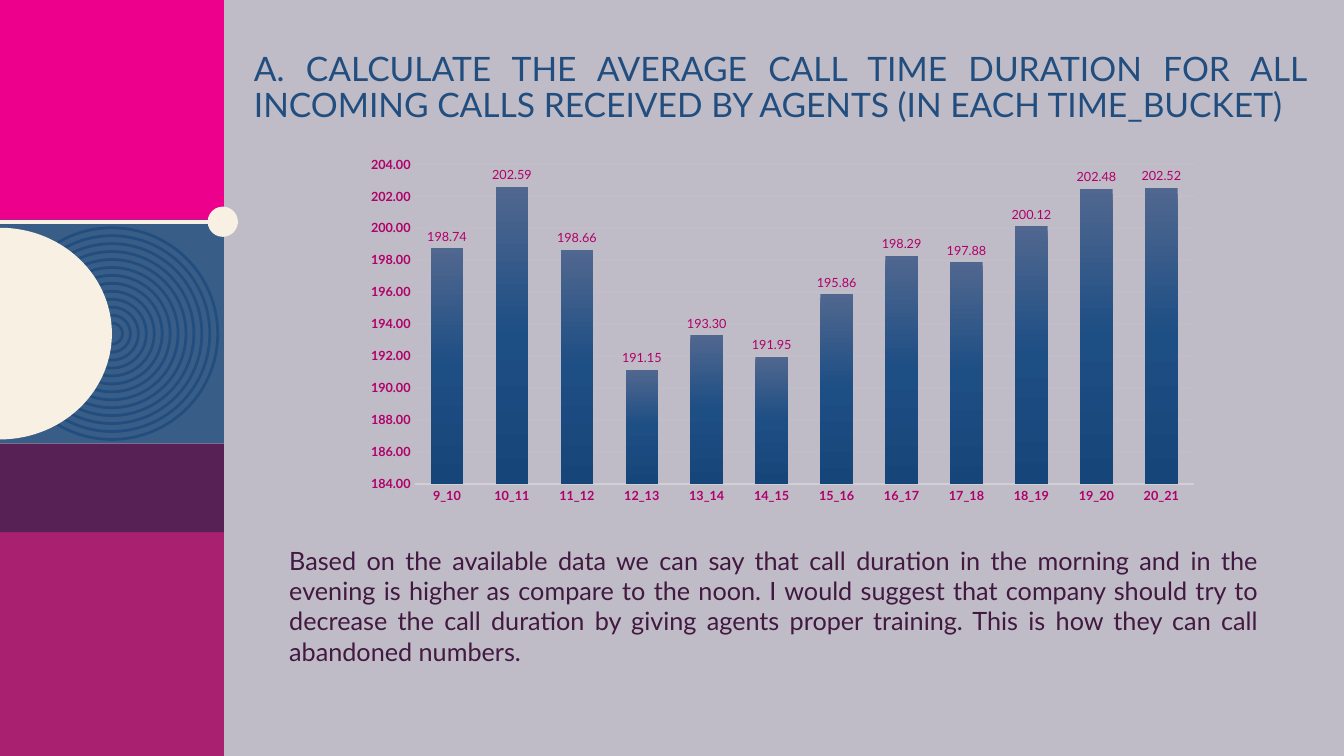
import math
from dataclasses import dataclass

import pptx
import pptx.chart.data
import pptx.dml.color
import pptx.enum.chart
import pptx.enum.shapes
import pptx.enum.text
import pptx.oxml
import pptx.oxml.ns
import pptx.util
from pptx.util import Inches

SHAPE = pptx.enum.shapes.MSO_SHAPE


@dataclass(frozen=True)
class Theme:
    font: str = "Lato"
    back: str = "BFBBC7"
    pink: str = "EC008C"
    rose: str = "AA2070"
    blue: str = "385E88"
    navy: str = "224E7F"
    plum: str = "582156"
    cream: str = "F8F0E3"
    ink: str = "421940"
    label: str = "B10069"
    pale: str = "F2F2F2"
    bars: tuple = ((0, "50678F"), (50, "1D4E84"), (100, "164579"))
    title: int = 24
    body: int = 18
    small: int = 9


THEME = Theme()
SIDE = 2.22
HUB = (1.11, 3.31)
RINGS = 13
HOURS = range(9, 21)
TIMES = (198.74, 202.59, 198.66, 191.15, 193.3, 191.95,
         195.86, 198.29, 197.88, 200.12, 202.48, 202.52)
TITLE = ("A. CALCULATE THE AVERAGE CALL TIME DURATION FOR ALL "
         "INCOMING CALLS RECEIVED BY AGENTS (IN EACH TIME_BUCKET)")
BODY = ("Based on the available data we can say that call duration in the "
        "morning and in the evening is higher as compare to the noon. I would "
        "suggest that company should try to decrease the call duration by "
        "giving agents proper training. This is how they can call abandoned "
        "numbers.")


def rgb(code):
    return pptx.dml.color.RGBColor.from_string(code)


def paint(shape, code):
    shape.shadow.inherit = False
    shape.fill.solid()
    shape.fill.fore_color.rgb = rgb(code)
    shape.line.fill.background()


def block(slide, top, height, code):
    box = slide.shapes.add_shape(SHAPE.RECTANGLE, 0, Inches(top),
                                 Inches(SIDE), Inches(height))
    paint(box, code)


def disc(slide, x, y, size):
    """Add a circle centred on x, y."""
    return slide.shapes.add_shape(SHAPE.OVAL, Inches(x - size / 2),
                                  Inches(y - size / 2),
                                  Inches(size), Inches(size))


def ring(slide, size):
    shape = disc(slide, *HUB, size)
    shape.shadow.inherit = False
    shape.fill.background()
    shape.line.color.rgb = rgb(THEME.navy)
    shape.line.width = pptx.util.Pt(2)


def dome(slide, wide, radius):
    """Add the half ellipse that bulges from the left edge."""
    turns = [math.radians(deg) for deg in range(-90, 91, 3)]
    points = [(Inches(wide * math.cos(turn)),
               Inches(HUB[1] + radius * math.sin(turn))) for turn in turns]
    path = slide.shapes.build_freeform(*points[0])
    path.add_line_segments(points[1:], close=True)
    paint(path.convert_to_shape(), THEME.cream)


def rule(slide, y, end):
    line = slide.shapes.add_connector(
        pptx.enum.shapes.MSO_CONNECTOR.STRAIGHT,
        0, Inches(y), Inches(end), Inches(y))
    line.line.color.rgb = rgb(THEME.cream)
    line.line.width = pptx.util.Pt(3)
    props = line._element.spPr
    props.append(props.makeelement(pptx.oxml.ns.qn("a:effectLst"), {}))


def style(font, size, code, bold=False):
    font.name = THEME.font
    font.size = pptx.util.Pt(size)
    font.color.rgb = rgb(code)
    font.bold = bold


def words(slide, area, text, size, code, space=1.0):
    box = slide.shapes.add_textbox(*map(Inches, area))
    box.text_frame.word_wrap = True
    box.text_frame.text = text
    para = box.text_frame.paragraphs[0]
    para.alignment = pptx.enum.text.PP_ALIGN.JUSTIFY
    para.line_spacing = space
    style(para.runs[0].font, size, code)


def faint(line, width, alpha):
    """Draw a pale chart line with the given opacity in percent."""
    line.color.rgb = rgb(THEME.pale)
    line.width = pptx.util.Pt(width)
    tint = line._ln.find(".//" + pptx.oxml.ns.qn("a:srgbClr"))
    tint.append(tint.makeelement(pptx.oxml.ns.qn("a:alpha"),
                                 {"val": str(alpha * 1000)}))


def blend(fill, stops):
    """Fill from top to bottom through the given colour stops."""
    fill.gradient()
    fill.gradient_angle = 270
    props = fill._xPr
    old = props.find(".//" + pptx.oxml.ns.qn("a:gsLst"))
    marks = "".join(f'<a:gs pos="{pos * 1000}"><a:srgbClr val="{code}"/></a:gs>'
                    for pos, code in stops)
    new = pptx.oxml.parse_xml(
        f'<a:gsLst {pptx.oxml.ns.nsdecls("a")}>{marks}</a:gsLst>')
    old.getparent().replace(old, new)


def graph(slide, area):
    kinds = pptx.enum.chart
    data = pptx.chart.data.CategoryChartData(number_format="0.00")
    data.categories = [f"{hour}_{hour + 1}" for hour in HOURS]
    data.add_series("Series 1", TIMES)
    chart = slide.shapes.add_chart(kinds.XL_CHART_TYPE.COLUMN_CLUSTERED,
                                   *map(Inches, area), data).chart
    chart.has_legend = False
    chart.has_title = False
    style(chart.font, 10, "000000")

    for axis in (chart.category_axis, chart.value_axis):
        axis.major_tick_mark = kinds.XL_TICK_MARK.NONE
        axis.minor_tick_mark = kinds.XL_TICK_MARK.NONE
        style(axis.tick_labels.font, THEME.small, THEME.label, True)
    faint(chart.category_axis.format.line, 1, 54)
    scale = chart.value_axis
    scale.minimum_scale, scale.maximum_scale, scale.major_unit = 184, 204, 2
    scale.format.line.fill.background()
    scale.tick_labels.number_format = "0.00"
    scale.tick_labels.number_format_is_linked = False
    faint(scale.major_gridlines.format.line, 0.75, 10)

    plot = chart.plots[0]
    plot.vary_by_categories = False
    plot.gap_width, plot.overlap = 100, -24
    blend(plot.series[0].format.fill, THEME.bars)
    labels = plot.series[0].data_labels
    labels.show_value = True
    labels.position = kinds.XL_LABEL_POSITION.OUTSIDE_END
    labels.number_format = "0.00"
    labels.number_format_is_linked = False
    style(labels.font, THEME.small, THEME.label)


def panel(slide):
    """Draw the decorated band on the left."""
    block(slide, 0, SIDE, THEME.pink)
    block(slide, 5.28, SIDE, THEME.rose)
    block(slide, 2.18, SIDE, THEME.blue)
    for step in range(RINGS):
        ring(slide, 2.1 - step * 1.89 / (RINGS - 1))
    block(slide, 4.4, 0.88, THEME.plum)
    dome(slide, 1.11, 1.05)
    rule(slide, 2.2, 2.36)
    paint(disc(slide, 2.21, 2.2, 0.3), THEME.cream)


def main():
    deck = pptx.Presentation()
    deck.slide_width, deck.slide_height = Inches(13.33), Inches(7.5)
    slide = deck.slides.add_slide(deck.slide_layouts[6])
    slide.background.fill.solid()
    slide.background.fill.fore_color.rgb = rgb(THEME.back)
    panel(slide)
    words(slide, (2.42, 0.47, 10.64, 1.45), TITLE,
          THEME.title, THEME.navy, 0.9)
    graph(slide, (3.51, 1.48, 8.5, 3.59))
    words(slide, (2.77, 5.36, 9.81, 1.31), BODY, THEME.body, THEME.ink)
    deck.save("out.pptx")


if __name__ == "__main__":
    main()
